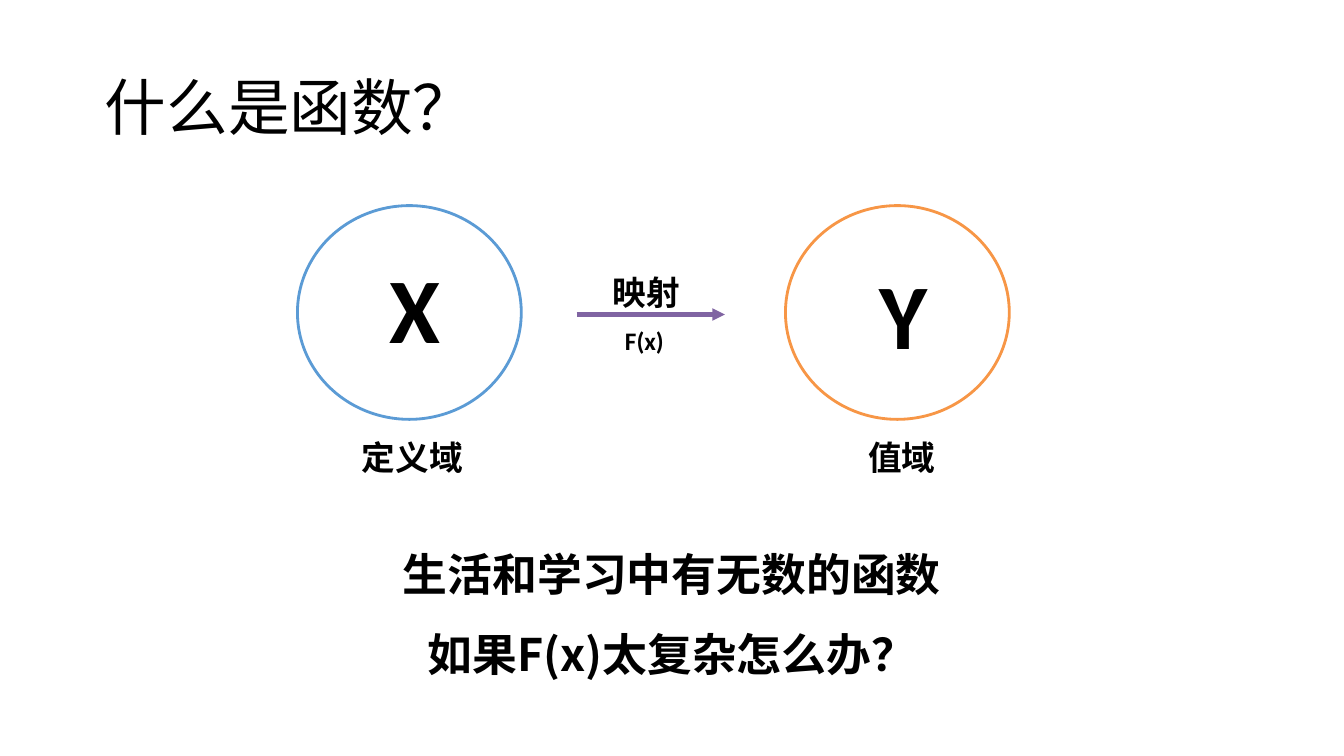
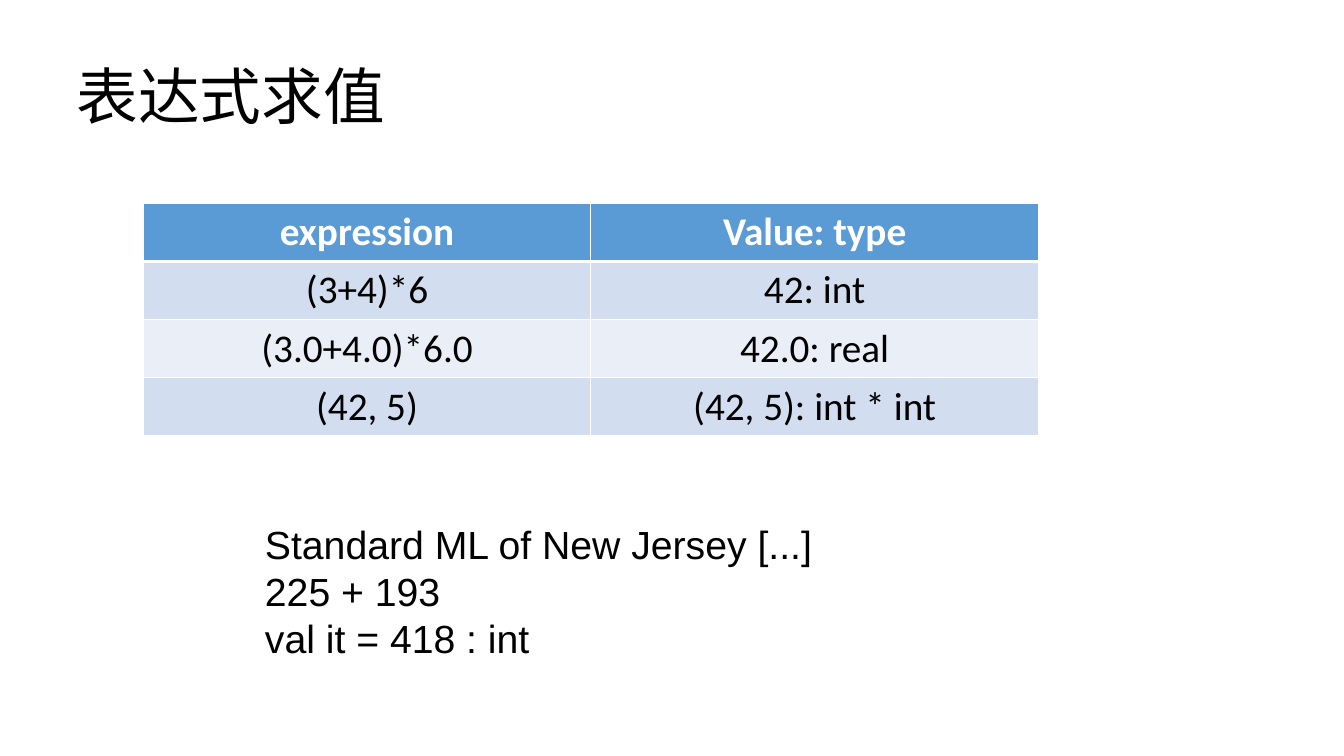
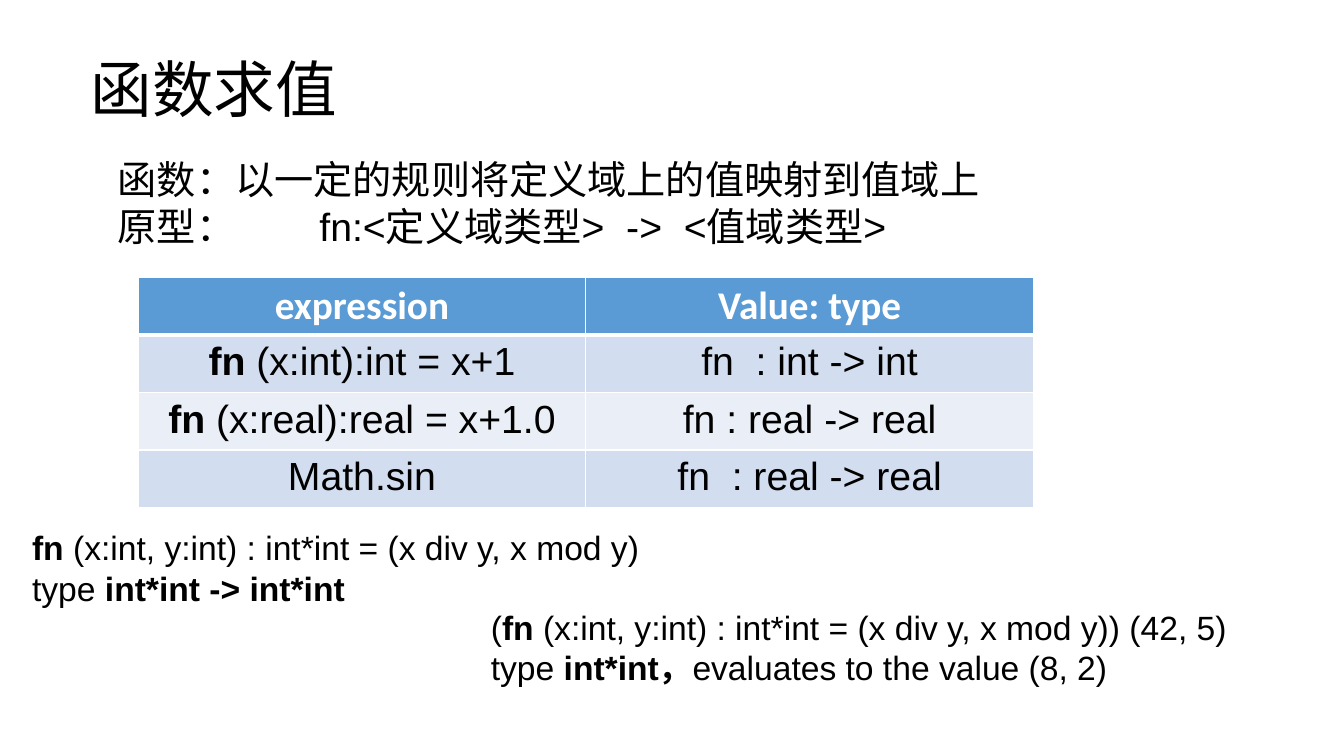
from dataclasses import dataclass
from typing import NamedTuple

from lxml.etree import SubElement
from pptx import Presentation
from pptx.dml.color import RGBColor
from pptx.enum.shapes import MSO_CONNECTOR as LINE, MSO_SHAPE as SHAPE
from pptx.enum.text import MSO_ANCHOR as ANCHOR, MSO_AUTO_SIZE as FIT, PP_ALIGN as ALIGN
from pptx.oxml.ns import qn
from pptx.util import Inches, Pt


@dataclass(frozen=True)
class Theme:
    black: str = "000000"
    white: str = "FFFFFF"
    blue: str = "5B9BD5"
    orange: str = "F79646"
    purple: str = "8064A2"
    bands: tuple = ("D2DEEF", "EAEFF7")
    han: str = "Noto Sans CJK SC"
    sans: str = "Calibri"
    code: str = "Arial"
    title: int = 44
    symbol: int = 66
    message: int = 32
    body: int = 28
    label: int = 24
    small: int = 18


THEME = Theme()
TITLE_ONLY = 5
TIGHT = 0.05


class Box(NamedTuple):
    left: float
    top: float
    width: float
    height: float

    def emu(self):
        return [Inches(value) for value in self]

    def inner(self, left, top, width, height):
        """Return a box whose left and top are counted from this box."""
        return Box(self.left + left, self.top + top, width, height)


def colour(value):
    return RGBColor.from_string(value)


def write(frame, lines, size, font, ink=THEME.black, bold=False,
          align=ALIGN.LEFT, spacing=1.0, tab=None):
    """Fill a text frame; text between double asterisks is bold."""
    for index, line in enumerate(lines):
        para = frame.paragraphs[0] if index == 0 else frame.add_paragraph()
        para.alignment, para.line_spacing = align, spacing
        para.space_before = Pt(0)
        if tab and "\t" in line:
            tabs = SubElement(para._p.get_or_add_pPr(), qn("a:tabLst"))
            SubElement(tabs, qn("a:tab"), pos=str(Inches(tab)), algn="l")
        for order, piece in enumerate(line.split("**")):
            if not piece:
                continue
            span = para.add_run()
            span.text = piece
            span.font.size, span.font.name = Pt(size), font
            span.font.bold = bold or order % 2 == 1
            span.font.color.rgb = colour(ink)
            SubElement(span._r.get_or_add_rPr(), qn("a:ea"), typeface=THEME.han)


def set_frame(frame, anchor, inset=None, fit=FIT.NONE, wrap=True):
    frame.word_wrap, frame.auto_size = wrap, fit
    frame.vertical_anchor = anchor
    if inset is not None:
        frame.margin_left = frame.margin_right = Inches(inset)
        frame.margin_top = frame.margin_bottom = Inches(inset)


def add_page(deck, title, box):
    page = deck.slides.add_slide(deck.slide_layouts[TITLE_ONLY])
    holder = page.shapes.title
    holder.left, holder.top, holder.width, holder.height = box.emu()
    set_frame(holder.text_frame, ANCHOR.MIDDLE, TIGHT)
    write(holder.text_frame, [title], THEME.title, THEME.han, spacing=0.9)
    return page


def add_label(page, box, *lines, **style):
    """Place text centred on the height of a fixed box."""
    frame = page.shapes.add_textbox(*box.emu()).text_frame
    set_frame(frame, ANCHOR.MIDDLE, TIGHT)
    write(frame, lines, **{"font": THEME.sans, "bold": True, "spacing": 0.9, **style})


def add_note(page, box, *lines, wrap=True, **style):
    """Place text from the top of a box that grows with it."""
    frame = page.shapes.add_textbox(*box.emu()).text_frame
    set_frame(frame, ANCHOR.TOP, fit=FIT.SHAPE_TO_FIT_TEXT, wrap=wrap)
    write(frame, lines, **{"font": THEME.code, **style})


def add_domain(page, box, line, symbol, symbol_at, caption, caption_at):
    oval = page.shapes.add_shape(SHAPE.OVAL, *box.emu())
    oval.shadow.inherit = False
    oval.fill.solid()
    oval.fill.fore_color.rgb = colour(THEME.white)
    oval.line.color.rgb, oval.line.width = colour(line), Pt(2)
    add_label(page, box.inner(*symbol_at), symbol, size=THEME.symbol)
    add_label(page, box.inner(*caption_at), caption, size=THEME.label)


def add_mapping(page, box):
    """Draw the arrow across the box with a label above and below it."""
    middle = box.top + box.height / 2
    arrow = page.shapes.add_connector(
        LINE.STRAIGHT, Inches(box.left), Inches(middle),
        Inches(box.left + box.width), Inches(middle))
    arrow.line.color.rgb, arrow.line.width = colour(THEME.purple), Pt(3)
    SubElement(arrow.line._get_or_add_ln(), qn("a:tailEnd"), type="triangle")
    SubElement(arrow._element.spPr, qn("a:effectLst"))
    add_label(page, box.inner(0.31, 0, 0.87, 0.56), "映射", size=THEME.label)
    add_note(page, box.inner(0.38, 0.54, 0.59, 0.4), "F(x)", wrap=False,
             size=THEME.small, font=THEME.sans, bold=True)


def set_borders(cell, bottom):
    props = cell._tc.get_or_add_tcPr()
    for side, width in (("L", 1), ("R", 1), ("T", 1), ("B", bottom)):
        edge = SubElement(props, qn(f"a:ln{side}"), w=str(Pt(width)))
        fill = SubElement(edge, qn("a:solidFill"))
        SubElement(fill, qn("a:srgbClr"), val=THEME.white)


def add_value_table(page, box, rows, font):
    rows = [("expression", "Value: type"), *rows]
    table = page.shapes.add_table(len(rows), len(rows[0]), *box.emu()).table
    table.horz_banding = False
    for row, texts in enumerate(rows):
        head = row == 0
        for column, text in enumerate(texts):
            cell = table.cell(row, column)
            set_borders(cell, 3 if head else 1)
            cell.fill.solid()
            cell.fill.fore_color.rgb = colour(
                THEME.blue if head else THEME.bands[(row - 1) % 2])
            write(cell.text_frame, [text], THEME.body,
                  THEME.sans if head else font,
                  ink=THEME.white if head else THEME.black,
                  bold=head, align=ALIGN.CENTER)


def build_definition(deck):
    page = add_page(deck, "什么是函数？", Box(0.99, 0.67, 10.67, 0.85))
    add_domain(page, Box(2.95, 2.04, 2.22, 2.12), THEME.blue,
               "X", (0.86, 0.79, 0.35, 0.56), "定义域", (0.59, 2.24, 1.23, 0.56))
    add_domain(page, Box(7.79, 2.04, 2.22, 2.12), THEME.orange,
               "Y", (0.88, 0.71, 0.46, 0.85), "值域", (0.77, 2.24, 0.93, 0.56))
    add_mapping(page, Box(5.72, 2.64, 1.47, 0.96))
    add_label(page, Box(1.33, 5.53, 10.67, 0.85),
              "生活和学习中有无数的函数", "如果F(x)太复杂怎么办？",
              size=THEME.message, font=THEME.han, align=ALIGN.CENTER, spacing=1.5)


def build_expressions(deck):
    page = add_page(deck, "表达式求值", Box(0.71, 0.08, 10.67, 1.82))
    add_value_table(page, Box(1.42, 2.02, 8.88, 2.28), [
        ("(3+4)*6", "42: int"),
        ("(3.0+4.0)*6.0", "42.0: real"),
        ("(42, 5)", "(42, 5): int * int"),
    ], THEME.sans)
    add_note(page, Box(2.53, 5.11, 6.67, 1.51), "Standard ML of New Jersey [...]",
             "225 + 193", "val it = 418 : int", size=THEME.body)


def build_functions(deck):
    page = add_page(deck, "函数求值", Box(0.85, 0.19, 11.5, 1.45))
    add_value_table(page, Box(1.37, 2.75, 8.88, 2.28), [
        ("**fn **(x:int):int = x+1", "fn  : int -> int"),
        ("**fn **(x:real):real = x+1.0", "fn : real -> real"),
        ("Math.sin", "fn  : real -> real"),
    ], THEME.code)
    add_note(page, Box(1.07, 1.49, 10.55, 1.04),
             "函数：以一定的规则将定义域上的值映射到值域上",
             "原型：\tfn:<定义域类型>  ->  <值域类型>", size=THEME.body, tab=2)
    add_note(page, Box(0.22, 5.18, 6.67, 0.91),
             "**fn **(x:int, y:int) : int*int = (x div y, x mod y)",
             "type **int*int -> int*int**", size=THEME.label)
    add_note(page, Box(4.77, 5.97, 8.37, 0.91),
             "(**fn **(x:int, y:int) : int*int = (x div y, x mod y)) (42, 5)",
             "type **int*int，**evaluates to the value (8, 2)", size=THEME.label)


def main():
    deck = Presentation()
    deck.slide_width, deck.slide_height = Inches(13.33), Inches(7.5)
    for build in (build_definition, build_expressions, build_functions):
        build(deck)
    deck.save("out.pptx")


if __name__ == "__main__":
    main()
